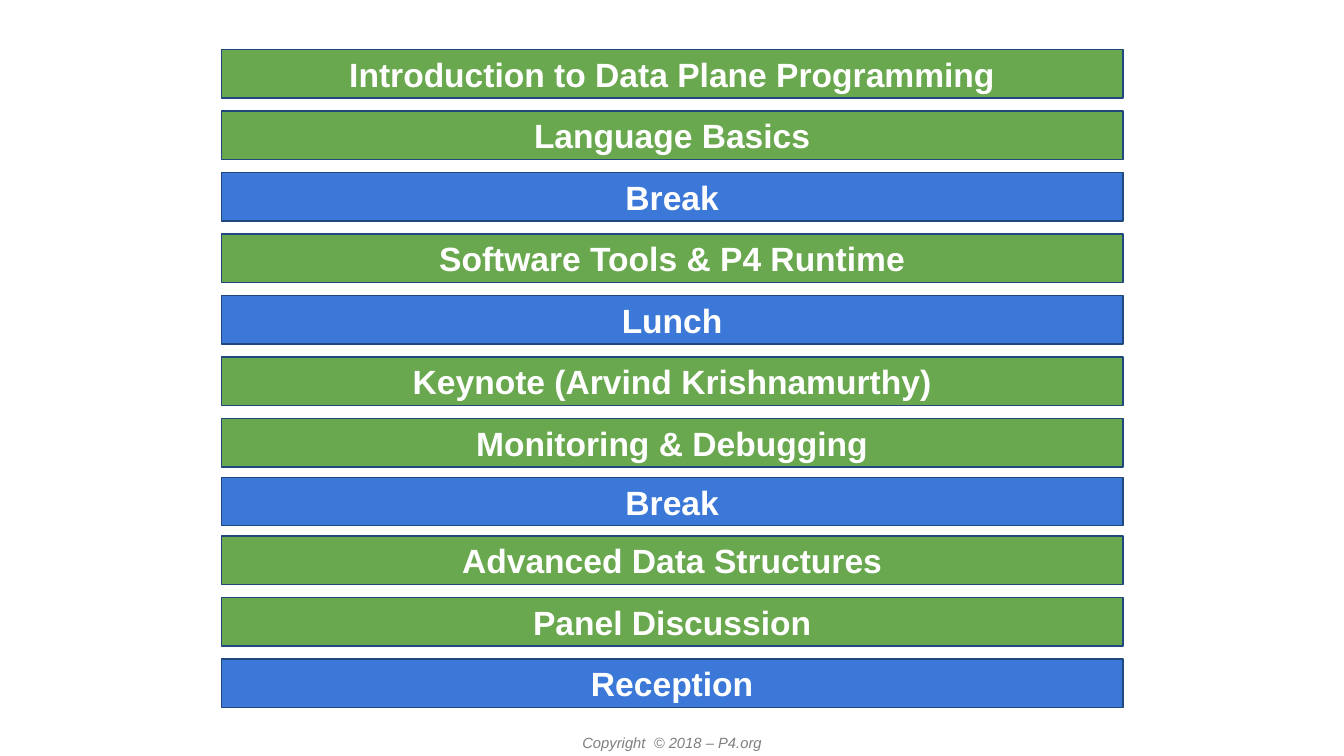
from pptx import Presentation
from pptx.dml.color import RGBColor
from pptx.enum.shapes import MSO_SHAPE
from pptx.enum.text import MSO_ANCHOR, PP_ALIGN
from pptx.util import Pt

SESSION_GREEN = RGBColor(0x6A, 0xA8, 0x4F)
PAUSE_BLUE = RGBColor(0x3C, 0x78, 0xD8)
BORDER_NAVY = RGBColor(0x1F, 0x49, 0x7D)
WHITE = RGBColor(0xFF, 0xFF, 0xFF)
GRAY = RGBColor(0x7F, 0x7F, 0x7F)

BAR_LEFT, BAR_WIDTH, BAR_HEIGHT = 118.6, 483, 26
FIRST_TOP, STEP, SHORT_STEP = 26.6, 32.95, 31.4

AGENDA = [
    ("Introduction to Data Plane Programming", SESSION_GREEN, STEP),
    ("Language Basics", SESSION_GREEN, STEP),
    ("Break", PAUSE_BLUE, STEP),
    ("Software Tools & P4 Runtime", SESSION_GREEN, STEP),
    ("Lunch", PAUSE_BLUE, STEP),
    ("Keynote (Arvind Krishnamurthy)", SESSION_GREEN, STEP),
    ("Monitoring & Debugging", SESSION_GREEN, SHORT_STEP),
    ("Break", PAUSE_BLUE, SHORT_STEP),
    ("Advanced Data Structures", SESSION_GREEN, STEP),
    ("Panel Discussion", SESSION_GREEN, STEP),
    ("Reception", PAUSE_BLUE, STEP),
]
BAR_FONT = {"name": "Arial", "size": Pt(18), "bold": True}
FOOTER_FONT = {"name": "Arial", "size": Pt(7.9), "italic": True}


def write_centered(shape, text, font_values, color):
    paragraph = shape.text_frame.paragraphs[0]
    paragraph.alignment = PP_ALIGN.CENTER
    run = paragraph.add_run()
    run.text = text
    for name, value in font_values.items():
        setattr(run.font, name, value)
    run.font.color.rgb = color


presentation = Presentation()
presentation.slide_width = Pt(720)
presentation.slide_height = Pt(405)
slide = presentation.slides.add_slide(presentation.slide_layouts[6])

footer = slide.shapes.add_textbox(Pt(84), Pt(389.5), Pt(552), Pt(16.5))
footer.text_frame.word_wrap = True
write_centered(footer, "Copyright  © 2018 – P4.org", FOOTER_FONT, GRAY)

bar_frame = {"word_wrap": True, "vertical_anchor": MSO_ANCHOR.MIDDLE}
for side in ("left", "top", "right", "bottom"):
    bar_frame[f"margin_{side}"] = Pt(7.2)

top = FIRST_TOP
for title, fill_color, step in AGENDA:
    bar = slide.shapes.add_shape(
        MSO_SHAPE.RECTANGLE, Pt(BAR_LEFT), Pt(top), Pt(BAR_WIDTH), Pt(BAR_HEIGHT)
    )
    bar.shadow.inherit = False
    bar.fill.solid()
    bar.fill.fore_color.rgb = fill_color
    bar.line.color.rgb = BORDER_NAVY
    bar.line.width = Pt(0.75)
    for name, value in bar_frame.items():
        setattr(bar.text_frame, name, value)
    write_centered(bar, title, BAR_FONT, WHITE)
    top += step

presentation.save("out.pptx")
